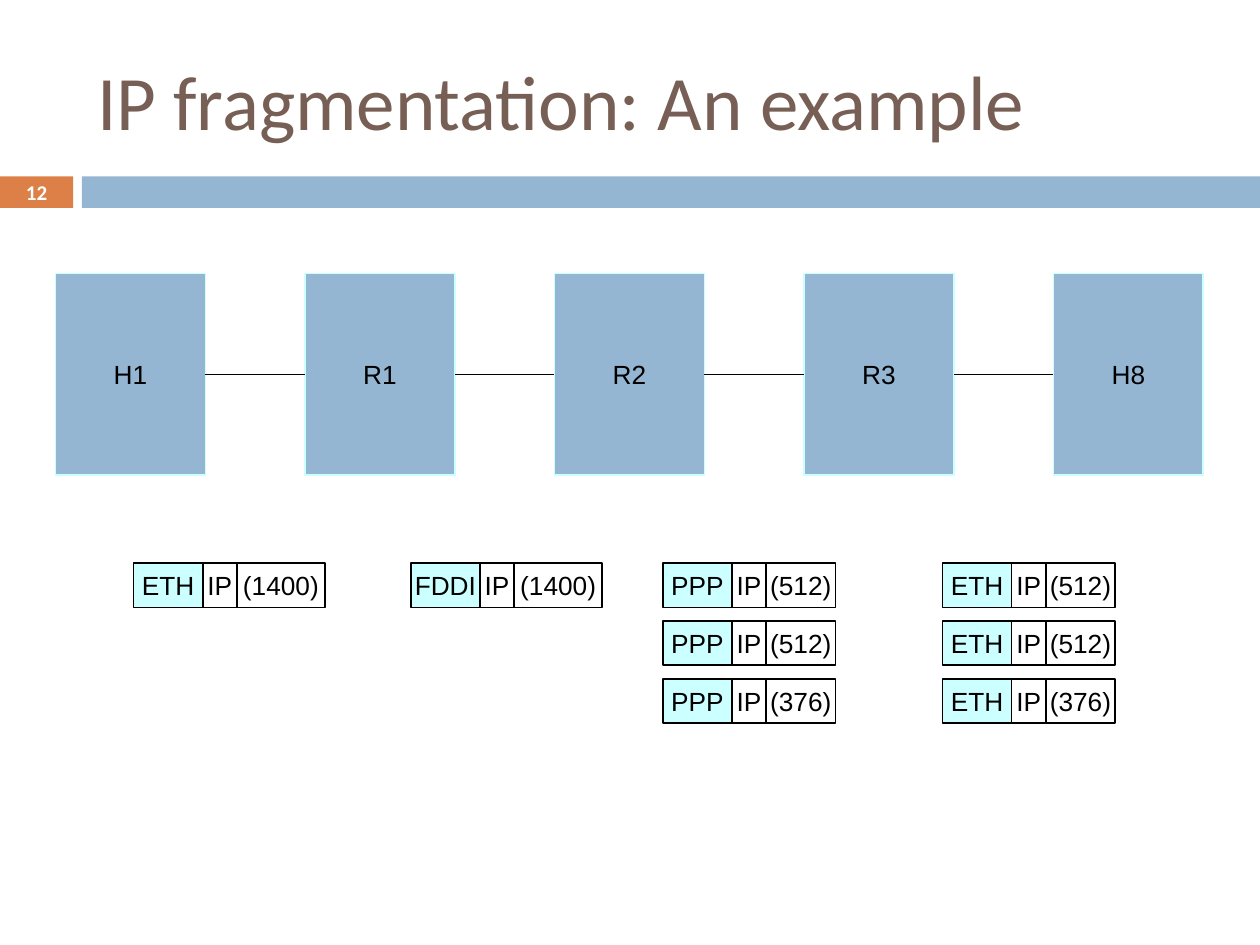
from itertools import pairwise

from pptx import Presentation
from pptx.dml.color import RGBColor
from pptx.enum.shapes import MSO_CONNECTOR, MSO_SHAPE
from pptx.enum.text import MSO_ANCHOR, MSO_AUTO_SIZE, PP_ALIGN
from pptx.oxml.xmlchemy import OxmlElement
from pptx.util import Inches, Pt

COLORS = {
    "title": "775F55",
    "accent": "DD8047",
    "blue": "94B6D2",
    "cyan": "CCFFFF",
    "black": "000000",
    "white": "FFFFFF",
}
NODES = ["H1", "R1", "R2", "R3", "H8"]
NODE_LEFT, NODE_TOP, NODE_STEP = 0.44, 2.17, 1.98
NODE_WIDTH, NODE_HEIGHT = 1.19, 1.6

PACKET_TOP, PACKET_STEP, PACKET_HEIGHT = 4.47, 0.46, 0.35
HEADER_WIDTH, IP_WIDTH = 0.55, 0.27
LINKS = [
    (1.06, "ETH", 0.7, [1400]),
    (3.26, "FDDI", 0.7, [1400]),
    (5.26, "PPP", 0.55, [512, 512, 376]),
    (7.48, "ETH", 0.55, [512, 512, 376]),
]


def color(name):
    return RGBColor.from_string(COLORS[name])


def style_text(frame, size, font, tint, align=PP_ALIGN.CENTER, bold=False):
    frame.vertical_anchor = MSO_ANCHOR.MIDDLE
    paragraph = frame.paragraphs[0]
    paragraph.alignment = align
    for run in paragraph.runs:
        run.font.size = Pt(size)
        run.font.name = font
        run.font.bold = bold
        run.font.color.rgb = color(tint)


def add_box(page, left, top, width, height, fill=None, line=None, text=""):
    box = page.shapes.add_shape(
        MSO_SHAPE.RECTANGLE, Inches(left), Inches(top), Inches(width), Inches(height)
    )
    box.shadow.inherit = False
    if fill:
        box.fill.solid()
        box.fill.fore_color.rgb = color(fill)
    else:
        box.fill.background()
    if line:
        box.line.color.rgb = color(line)
        box.line.width = Pt(0.88)
    else:
        box.line.fill.background()
    if text:
        frame = box.text_frame
        frame.margin_left = frame.margin_right = 0
        frame.margin_top = frame.margin_bottom = 0
        frame.word_wrap = False
        frame.text = text
        style_text(frame, 15, "Arial", "black")
    return box


def add_title(page):
    title = page.shapes.title
    title.left, title.top = Inches(0.67), Inches(0.25)
    title.width, title.height = Inches(8.92), Inches(1.08)
    title.text_frame.text = "IP fragmentation: An example"
    title.text_frame.auto_size = MSO_AUTO_SIZE.NONE
    style_text(title.text_frame, 44, "Calibri", "title", PP_ALIGN.LEFT)


def add_band(page):
    number = add_box(page, 0, 1.4, 0.58, 0.25, "accent", text="12")
    style_text(number.text_frame, 12, "Calibri", "white", bold=True)
    add_box(page, 0.65, 1.4, 9.35, 0.25, "blue")


def join_nodes(page, start, end):
    link = page.shapes.add_connector(MSO_CONNECTOR.STRAIGHT, 0, 0, 0, 0)
    link.begin_connect(start, 3)
    link.end_connect(end, 1)
    link.line.color.rgb = color("black")
    link.line.width = Pt(0.75)
    link._element.spPr.append(OxmlElement("a:effectLst"))


def add_network(page):
    nodes = [
        add_box(page, NODE_LEFT + column * NODE_STEP, NODE_TOP,
                NODE_WIDTH, NODE_HEIGHT, "blue", "cyan", name)
        for column, name in enumerate(NODES)
    ]
    for start, end in pairwise(nodes):
        join_nodes(page, start, end)


def add_packet(page, left, top, header, payload_width, payload):
    cells = [
        (header, HEADER_WIDTH, "cyan"),
        ("IP", IP_WIDTH, None),
        (f"({payload})", payload_width, None),
    ]
    for text, width, fill in cells:
        add_box(page, left, top, width, PACKET_HEIGHT, fill, "black", text)
        left += width


def main():
    deck = Presentation()
    deck.slide_width, deck.slide_height = Inches(10), Inches(7.5)
    page = deck.slides.add_slide(deck.slide_layouts[5])
    add_title(page)
    add_band(page)
    add_network(page)
    for left, header, payload_width, payloads in LINKS:
        for row, payload in enumerate(payloads):
            top = PACKET_TOP + row * PACKET_STEP
            add_packet(page, left, top, header, payload_width, payload)
    deck.save("out.pptx")


if __name__ == "__main__":
    main()
